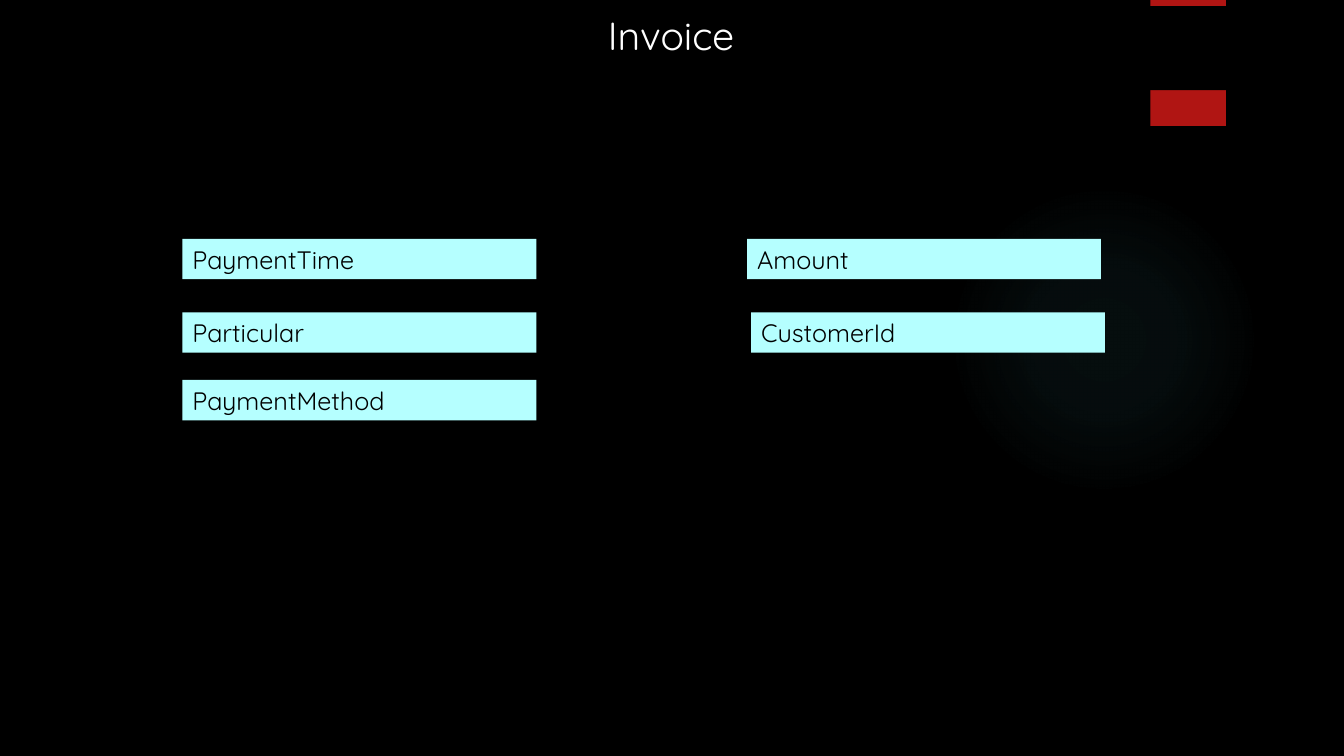
"""Build the Invoice slide with its five field labels."""
from typing import NamedTuple

from pptx import Presentation
from pptx.dml.color import RGBColor
from pptx.enum.shapes import MSO_SHAPE
from pptx.enum.text import MSO_ANCHOR, MSO_AUTO_SIZE, PP_ALIGN
from pptx.oxml import parse_xml
from pptx.oxml.ns import nsdecls, qn
from pptx.shapes.autoshape import Shape
from pptx.slide import Slide
from pptx.util import Inches, Pt

BLACK = RGBColor(0x00, 0x00, 0x00)
WHITE = RGBColor(0xFF, 0xFF, 0xFF)
RED = RGBColor(0xB0, 0x15, 0x13)
PALE_CYAN = RGBColor(0xB5, 0xFF, 0xFF)
TEAL = RGBColor(0x50, 0xB9, 0xC1)
FONT_NAME = "Quicksand"
GLOW_STOPS = ((0, 7), (36, 6), (69, 0))


class Field(NamedTuple):
    name: str
    left: float
    top: float


FIELDS = (
    Field("PaymentTime", 1.81, 2.37),
    Field("Amount", 7.41, 2.37),
    Field("Particular", 1.81, 3.1),
    Field("CustomerId", 7.45, 3.1),
    Field("PaymentMethod", 1.81, 3.77),
)


def place(shape: Shape, left: float, top: float, width: float, height: float) -> None:
    shape.left, shape.top = Inches(left), Inches(top)
    shape.width, shape.height = Inches(width), Inches(height)


def add_plain_shape(page: Slide, kind: MSO_SHAPE) -> Shape:
    shape = page.shapes.add_shape(kind, 0, 0, 0, 0)
    shape.shadow.inherit = False
    shape.line.fill.background()
    return shape


def add_glow(page: Slide) -> None:
    glow = add_plain_shape(page, MSO_SHAPE.OVAL)
    place(glow, 9.41, 1.83, 3.08, 3.08)
    stops = "".join(
        f'<a:gs pos="{position * 1000}"><a:srgbClr val="{TEAL}">'
        f'<a:alpha val="{alpha * 1000}"/></a:srgbClr></a:gs>'
        for position, alpha in GLOW_STOPS
    )
    gradient = parse_xml(
        f'<a:gradFill {nsdecls("a")}><a:gsLst>{stops}</a:gsLst>'
        '<a:path path="circle"><a:fillToRect l="50000" t="50000" r="50000" b="50000"/>'
        "</a:path></a:gradFill>"
    )
    glow.fill.background()
    properties = glow.element.spPr
    properties.replace(properties.find(qn("a:noFill")), gradient)


def add_red_tab(page: Slide) -> None:
    tab = add_plain_shape(page, MSO_SHAPE.RECTANGLE)
    place(tab, 11.41, 0, 0.75, 1.25)
    tab.fill.solid()
    tab.fill.fore_color.rgb = RED


def write_label(
    box: Shape, text: str, size: int, color: RGBColor, fill: RGBColor, align: PP_ALIGN
) -> None:
    box.fill.solid()
    box.fill.fore_color.rgb = fill
    frame = box.text_frame
    frame.text = text
    frame.word_wrap = True
    frame.auto_size = MSO_AUTO_SIZE.SHAPE_TO_FIT_TEXT
    frame.vertical_anchor = MSO_ANCHOR.TOP
    para = frame.paragraphs[0]
    para.alignment = align
    span = para.runs[0]
    span.font.name = FONT_NAME
    span.font.size = Pt(size)
    span.font.color.rgb = color


def add_title(page: Slide) -> None:
    title = page.shapes.title
    page.shapes[-1].element.addnext(title.element)
    place(title, 0.12, 0.06, 13.07, 0.57)
    write_label(title, "Invoice", 28, WHITE, BLACK, PP_ALIGN.CENTER)


def add_field(page: Slide, field: Field) -> None:
    box = page.shapes.add_textbox(0, 0, 0, 0)
    place(box, field.left, field.top, 3.51, 0.4)
    write_label(box, field.name, 18, BLACK, PALE_CYAN, PP_ALIGN.LEFT)


def main() -> None:
    deck = Presentation()
    deck.slide_width, deck.slide_height = Inches(13.33), Inches(7.5)
    page = deck.slides.add_slide(deck.slide_layouts[5])
    page.background.fill.solid()
    page.background.fill.fore_color.rgb = BLACK
    add_glow(page)
    add_red_tab(page)
    add_title(page)
    for field in FIELDS:
        add_field(page, field)
    deck.save("out.pptx")


if __name__ == "__main__":
    main()
